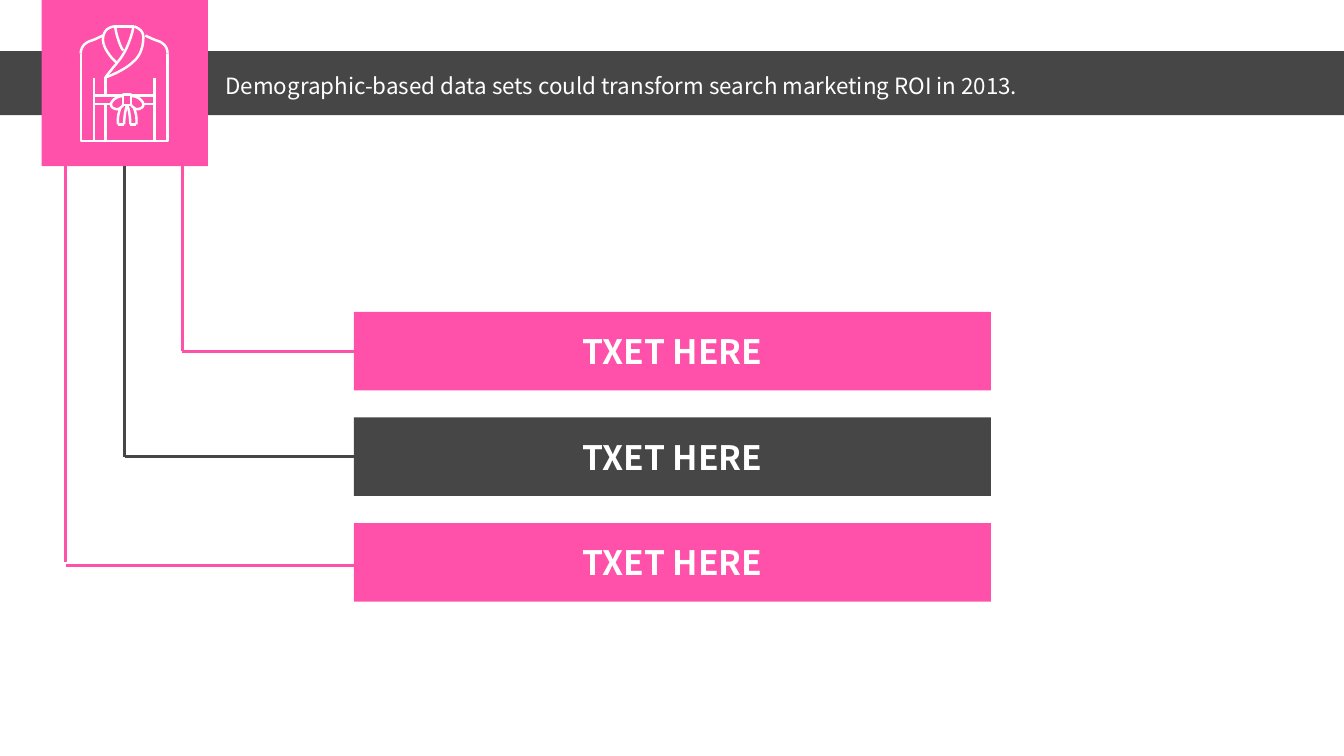
from lxml import etree
from pptx import Presentation
from pptx.dml.color import RGBColor
from pptx.enum.shapes import MSO_CONNECTOR, MSO_SHAPE
from pptx.enum.text import MSO_ANCHOR, MSO_AUTO_SIZE, PP_ALIGN
from pptx.oxml.ns import qn
from pptx.util import Cm, Pt

PINK, GREY, WHITE = "FF51AA", "464646", "FFFFFF"
FONT = "Noto Sans CJK SC"

HEADLINE = "Demographic-based data sets could transform search marketing ROI in 2013."
# label, colour, x of the drop line (cm), extra depth of the branch line (cm)
ROWS = [
    ("TXET HERE", PINK, 4.6, 0),
    ("TXET HERE", GREY, 3.14, 0),
    ("TXET HERE", PINK, 1.66, 0.08),
]
BADGE_LEFT, BADGE_SIZE = 1.05, 4.19
ROW_LEFT, ROW_TOP, ROW_WIDTH, ROW_HEIGHT, ROW_PITCH = 8.92, 7.86, 16.05, 1.98, 2.66

# Robe line art on a grid 88 units wide; x is 0 on the robe's centre line.
ROBE_LEFT_CENTRE, ROBE_TOP, ROBE_WIDTH = 3.13, 0.64, 2.24
ROBE_UNITS, KNOT_AXIS = 88, 3
SHOULDER = [(-43, 28), (-43, 19), (-35, 16), (-35, 16), (-29, 14), (-25, 12), (-21, 10)]
BOW_LOOP = [(-1, 70), (-8, 70), (-13, 75), (-13, 78.5), (-13, 81), (-10, 83),
            (-6.5, 83), (-4, 82.5), (-1, 79.5), (-1, 78.5)]
BOW_TAIL_OUTER = [(-4, 82.5), (-6.5, 89), (-6.5, 94), (-6, 98)]
BOW_TAIL_INNER = [(0, 98), (0, 91), (1, 85), (2.5, 80)]
COLLAR = [
    [(10, 1), (-17, 2), (-21, 7), (-21, 14), (-21, 22), (-14, 31), (-7.5, 37)],
    [(10, 1), (15, 3), (19, 6), (19, 12), (19, 25), (13, 33), (9, 36),
     (2, 43), (-11, 49), (-18.5, 51.5)],
    [(9, 1), (9, 7), (3, 22), (0, 27), (-5, 36), (-11, 41), (-18.5, 51.5)],
    [(-9, 1), (-8, 8), (-5, 19), (-1, 25)],
]
COLLAR[0][0] = (-10, 1)
STRAIGHTS = [
    [(-43, 28), (-43, 114.5), (43, 114.5), (43, 28)],
    [(-10, 1), (10, 1)],
    [(-30, 52), (-30, 114.5)],
    [(30, 52), (30, 114.5)],
    [(-18.5, 51.5), (-18.5, 69.5)],
    [(-18.5, 78), (-18.5, 114.5)],
    [(-30, 69.5), (-1, 69.5)],
    [(7, 69.5), (30, 69.5)],
    [(-30, 78), (-13, 78)],
    [(19, 78), (30, 78)],
    [(-1, 68.5), (7, 68.5), (7, 79), (-1, 79), (-1, 68.5)],
    [(-6, 98), (0, 98)],
    [(6, 98), (12, 98)],
]


def color(hex_code):
    return RGBColor.from_string(hex_code)


def write(shape, text, size=24, bold=False, align=PP_ALIGN.CENTER):
    frame = shape.text_frame
    frame.word_wrap = True
    frame.auto_size = MSO_AUTO_SIZE.NONE
    frame.vertical_anchor = MSO_ANCHOR.MIDDLE
    frame.text = text
    paragraph = frame.paragraphs[0]
    paragraph.alignment = align
    font = paragraph.runs[0].font
    font.name, font.size, font.bold = FONT, Pt(size), bold
    font.color.rgb = color(WHITE)


def add_block(shapes, left, top, width, height, fill):
    block = shapes.add_shape(MSO_SHAPE.RECTANGLE, Cm(left), Cm(top), Cm(width), Cm(height))
    block.shadow.inherit = False
    block.fill.solid()
    block.fill.fore_color.rgb = color(fill)
    block.line.fill.background()
    return block


def add_line(shapes, start, end, stroke):
    line = shapes.add_connector(MSO_CONNECTOR.STRAIGHT, *map(Cm, start + end))
    line.line.color.rgb = color(stroke)
    line.line.width = Pt(2.25)
    etree.SubElement(line.element.spPr, qn("a:effectLst"))


def mirror(points, axis=0):
    return [(2 * axis - x, y) for x, y in points]


def flatten(points, steps=8):
    """Turn chained cubic Bezier control points into a polyline."""
    line = [points[0]]
    for i in range(0, len(points) - 1, 3):
        for step in range(1, steps + 1):
            t = step / steps
            weights = ((1 - t) ** 3, 3 * t * (1 - t) ** 2, 3 * t * t * (1 - t), t ** 3)
            line.append(tuple(sum(w * p[axis] for w, p in zip(weights, points[i:i + 4]))
                              for axis in (0, 1)))
    return line


def add_robe(shapes):
    curves = COLLAR + [SHOULDER, mirror(SHOULDER)]
    for part in (BOW_LOOP, BOW_TAIL_OUTER, BOW_TAIL_INNER):
        curves += [part, mirror(part, KNOT_AXIS)]
    fine = 10
    strokes = [[(x * fine, y * fine) for x, y in stroke]
               for stroke in STRAIGHTS + [flatten(curve) for curve in curves]]
    builder = shapes.build_freeform(*strokes[0][0], scale=Cm(ROBE_WIDTH) / ROBE_UNITS / fine)
    for index, stroke in enumerate(strokes):
        if index:
            builder.move_to(*stroke[0])
        builder.add_line_segments(stroke[1:], close=False)
    robe = builder.convert_to_shape(Cm(ROBE_LEFT_CENTRE), Cm(ROBE_TOP))
    robe.shadow.inherit = False
    robe.fill.background()
    robe.line.color.rgb = color(WHITE)
    robe.line.width = Pt(1.75)


def main():
    deck = Presentation()
    deck.slide_width, deck.slide_height = Cm(33.87), Cm(19.05)
    slide = deck.slides.add_slide(deck.slide_layouts[5])
    shapes = slide.shapes

    add_block(shapes, 0, 1.29, 33.87, 1.61, GREY)
    add_block(shapes, BADGE_LEFT, 0, BADGE_SIZE, BADGE_SIZE, PINK)

    headline = shapes.title
    headline.left, headline.top = Cm(5.43), Cm(1.68)
    headline.width, headline.height = Cm(24.49), Cm(0.94)
    write(headline, HEADLINE, size=16, align=PP_ALIGN.LEFT)
    headline.element.getparent().append(headline.element)  # bring in front of the band

    add_robe(shapes)

    for index, (label, fill, drop_x, extra) in enumerate(ROWS):
        top = ROW_TOP + index * ROW_PITCH
        middle = top + ROW_HEIGHT / 2
        write(add_block(shapes, ROW_LEFT, top, ROW_WIDTH, ROW_HEIGHT, fill), label, bold=True)
        add_line(shapes, (drop_x, BADGE_SIZE), (drop_x, middle), fill)
        add_line(shapes, (ROW_LEFT, middle + extra), (drop_x, middle + extra), fill)

    deck.save("out.pptx")


if __name__ == "__main__":
    main()
